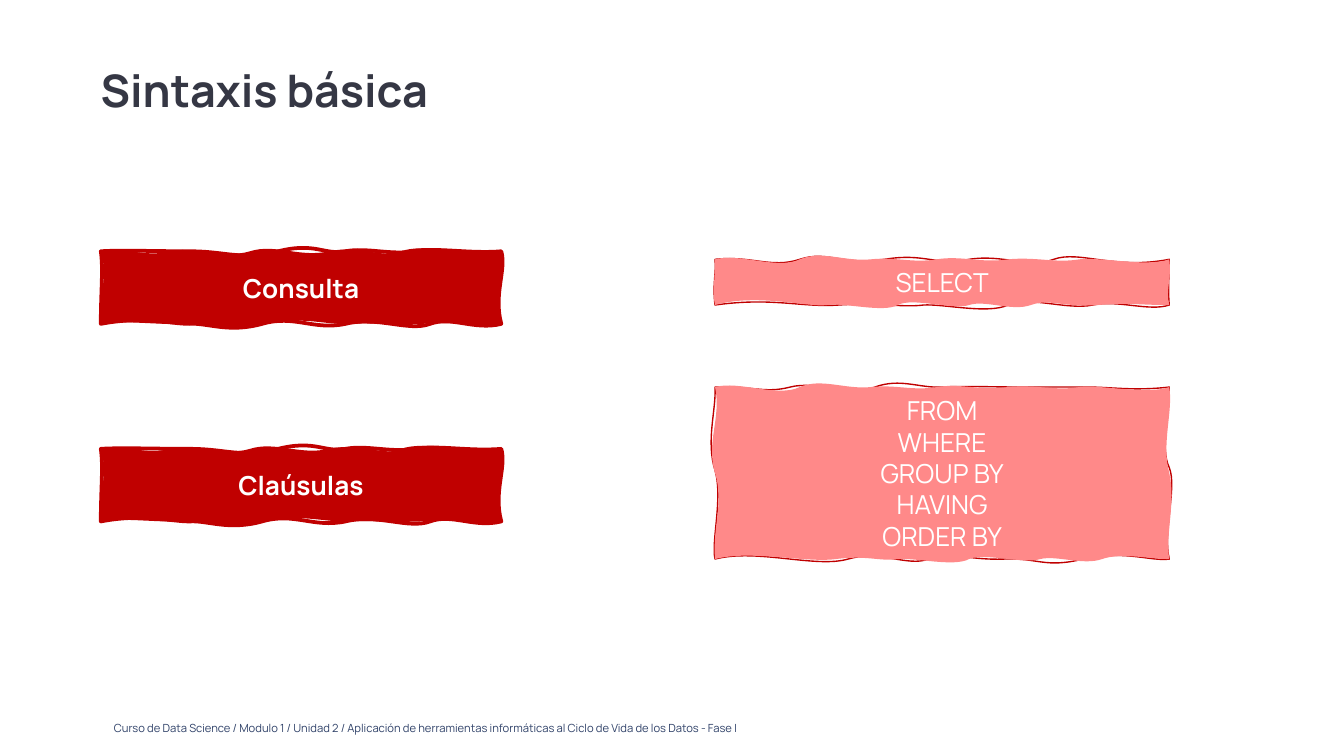
from dataclasses import dataclass

from lxml import etree
from pptx import Presentation
from pptx import util as u
from pptx.dml.color import RGBColor
from pptx.enum import text
from pptx.oxml import ns


@dataclass(frozen=True)
class Theme:
    font: str = "Manrope"
    ink: str = "353744"
    navy: str = "304269"
    white: str = "FFFFFF"
    red: str = "C00000"
    pink: str = "FF8989"
    title: int = 24
    body: int = 14
    foot: int = 6
    thick: float = 2
    thin: float = 0.75


THEME = Theme()

# The slide is 16:9, on a square grid of 1000 columns
CELL = u.Inches(0.01)
WIDE = 1000 * CELL
HIGH = WIDE * 9 // 16

# Hand-drawn edges: curves (control, control, end) in cells from the box corner
LABEL_LINE = [
    (15, -1, 38, 0, 66, 0), (94, 0, 103, 7, 132, 0), (160, -7, 166, 3, 182, 0),
    (198, -3, 216, 3, 233, 0), (250, -3, 275, 2, 298, 0), (302, 14, 292, 32, 298, 54),
    (278, 59, 261, 48, 245, 54), (229, 60, 206, 48, 182, 54), (158, 59, 144, 47, 120, 54),
    (95, 61, 79, 53, 66, 54), (52, 54, 31, 48, 0, 54), (0, 30, 2, 13, 0, 0)]
LABEL_FILL = [
    (15, -4, 34, 5, 51, 0), (68, -4, 91, 6, 111, 0), (130, -6, 148, 5, 170, 0),
    (193, -5, 211, 6, 224, 0), (237, -6, 279, 2, 298, 0), (300, 25, 294, 29, 298, 54),
    (282, 56, 268, 52, 239, 54), (210, 55, 203, 53, 185, 54), (167, 55, 151, 48, 120, 54),
    (88, 60, 91, 53, 66, 54), (41, 55, 18, 51, 0, 54), (-2, 33, 6, 20, 0, 0)]
WIDE_TOP = [
    (18, -5, 47, 8, 63, 0), (79, -7, 97, 2, 116, 0), (135, -2, 147, 3, 165, 0),
    (183, -3, 198, 3, 218, 0), (239, -2, 254, 3, 271, 0), (288, -2, 321, 6, 338, 0)]
SHORT_LINE = [
    (27, -3, 42, 7, 63, 0), (84, -7, 95, 5, 126, 0), (157, -5, 163, 5, 189, 0),
    (215, -4, 233, 7, 252, 0), (271, -7, 297, 8, 338, 0), (338, 9, 337, 24, 338, 34),
    (323, 39, 300, 30, 281, 34), (262, 38, 234, 27, 218, 34), (203, 41, 170, 33, 155, 34),
    (140, 36, 120, 32, 92, 34), (64, 36, 43, 28, 0, 34), (-2, 18, 1, 11, 0, 0)]
SHORT_FILL = WIDE_TOP + [
    (340, 15, 335, 23, 338, 34), (313, 34, 310, 32, 285, 34), (259, 36, 249, 29, 235, 34),
    (221, 39, 201, 30, 189, 34), (177, 38, 147, 28, 136, 34), (125, 40, 97, 32, 83, 34),
    (70, 36, 31, 25, 0, 34), (-2, 26, 0, 13, 0, 0)]
TALL_LINE = [
    (28, -1, 37, 5, 56, 0), (75, -5, 100, 7, 119, 0), (138, -7, 152, 1, 169, 0),
    (185, -1, 203, 0, 232, 0), (260, 0, 261, 0, 278, 0), (295, 0, 312, 3, 338, 0),
    (338, 12, 331, 46, 338, 60), (344, 75, 333, 107, 338, 128), (325, 130, 304, 121, 274, 128),
    (245, 135, 241, 127, 215, 128), (189, 129, 174, 122, 159, 128),
    (143, 134, 123, 121, 99, 128), (75, 135, 31, 120, 0, 128), (-3, 115, 6, 83, 0, 62),
    (-7, 40, 1, 17, 0, 0)]
TALL_FILL = WIDE_TOP + [
    (341, 18, 332, 42, 338, 64), (343, 86, 335, 109, 338, 128), (323, 128, 302, 123, 288, 128),
    (274, 133, 254, 125, 242, 128), (230, 132, 200, 123, 189, 128),
    (178, 134, 150, 127, 136, 128), (123, 130, 113, 125, 90, 128), (67, 131, 27, 121, 0, 128),
    (-2, 103, 7, 87, 0, 64), (-7, 41, 5, 23, 0, 0)]


def rgb(hue):
    return RGBColor.from_string(hue)


def style(frame, lines, size, hue, bold=False, align=text.PP_ALIGN.LEFT):
    """Fill a text frame, one paragraph a line."""
    frame.word_wrap = True
    frame.text = "\n".join(lines)
    for para in frame.paragraphs:
        para.alignment = align
        for run in para.runs:
            font = run.font
            font.name, font.size, font.bold = THEME.font, u.Pt(size), bold
            font.color.rgb = rgb(hue)


def note(slide, box, line, size, hue, side=0, top=0, bold=False):
    """Plain text in a box, with side and top insets."""
    frame = slide.shapes.add_textbox(*(n * CELL for n in box)).text_frame
    frame.margin_left = frame.margin_right = side * CELL
    frame.margin_top, frame.margin_bottom = top * CELL, 0
    style(frame, [line], size, hue, bold)
    return frame


def trace(group, size, curves, **flags):
    """Add one closed curved contour to a geometry."""
    wide, high = size
    root = etree.SubElement(group, ns.qn("a:path"), w=str(wide), h=str(high), **flags)

    def step(tag, *spots):
        node = etree.SubElement(root, ns.qn(tag))
        for x, y in spots:
            etree.SubElement(node, ns.qn("a:pt"), x=str(x * CELL), y=str(y * CELL))

    step("a:moveTo", (0, 0))
    for curve in curves:
        step("a:cubicBezTo", *zip(curve[::2], curve[1::2]))
    step("a:close")


def sketch(slide, box, edges, lines, fill, width, bold=False, grow=False):
    """Rough-edged box: an outline below a fill, with centred text."""
    left, top, wide, high = box
    form = slide.shapes.build_freeform(left, top, scale=float(CELL))
    form.add_line_segments([(left + wide, top), (left + wide, top + high), (left, top + high)])
    shape = form.convert_to_shape()
    shape.shadow.inherit = False
    shape.fill.solid()
    shape.fill.fore_color.rgb = rgb(fill)
    shape.line.color.rgb = rgb(THEME.red)
    shape.line.width = u.Pt(width)

    # Curved contours take the place of the straight one
    group = shape._element.spPr.find(".//" + ns.qn("a:pathLst"))
    for node in list(group):
        group.remove(node)
    size = (wide * CELL, high * CELL)
    trace(group, size, edges[0], fill="none")
    trace(group, size, edges[1], stroke="0")

    frame = shape.text_frame
    frame.vertical_anchor = text.MSO_ANCHOR.MIDDLE
    style(frame, lines, THEME.body, THEME.white, bold, text.PP_ALIGN.CENTER)
    if grow:
        frame.auto_size = text.MSO_AUTO_SIZE.SHAPE_TO_FIT_TEXT


def labels(slide, box, names):
    """Column of red labels, spread evenly over the box."""
    left, top, wide, high = box
    tall = 54
    pitch = (high - tall) // (len(names) - 1)
    for row, name in enumerate(names):
        sketch(slide, (left, top + row * pitch, wide, tall), (LABEL_LINE, LABEL_FILL),
               [name], THEME.red, THEME.thick, bold=True)


def words(slide, box):
    """Column of pink keyword boxes: one at the top, one at the foot."""
    left, top, wide, high = box
    short, tall = 34, 128
    sketch(slide, (left, top + high - tall, wide, tall), (TALL_LINE, TALL_FILL),
           ["FROM", "WHERE", "GROUP BY", "HAVING", "ORDER BY"],
           THEME.pink, THEME.thin, grow=True)
    sketch(slide, (left, top, wide, short), (SHORT_LINE, SHORT_FILL),
           ["SELECT"], THEME.pink, THEME.thin, grow=True)


def main():
    deck = Presentation()
    deck.slide_width, deck.slide_height = WIDE, HIGH
    slide = deck.slides.add_slide(deck.slide_layouts[6])

    # Footer and title
    note(slide, (75, 528, 674, 24),
         "Curso de Data Science / Modulo 1 / Unidad 2 / Aplicación de herramientas "
         "informáticas al Ciclo de Vida de los Datos - Fase I",
         THEME.foot, THEME.navy, side=10, top=9)
    head = note(slide, (75, 51, 744, 43), "Sintaxis básica", THEME.title, THEME.ink, bold=True)
    head.paragraphs[0].line_spacing = 0.9

    # Labels on the left, keywords on the right
    labels(slide, (75, 187, 298, 201), ["Consulta", "Claúsulas"])
    words(slide, (532, 193, 338, 223))

    deck.save("out.pptx")


if __name__ == "__main__":
    main()
